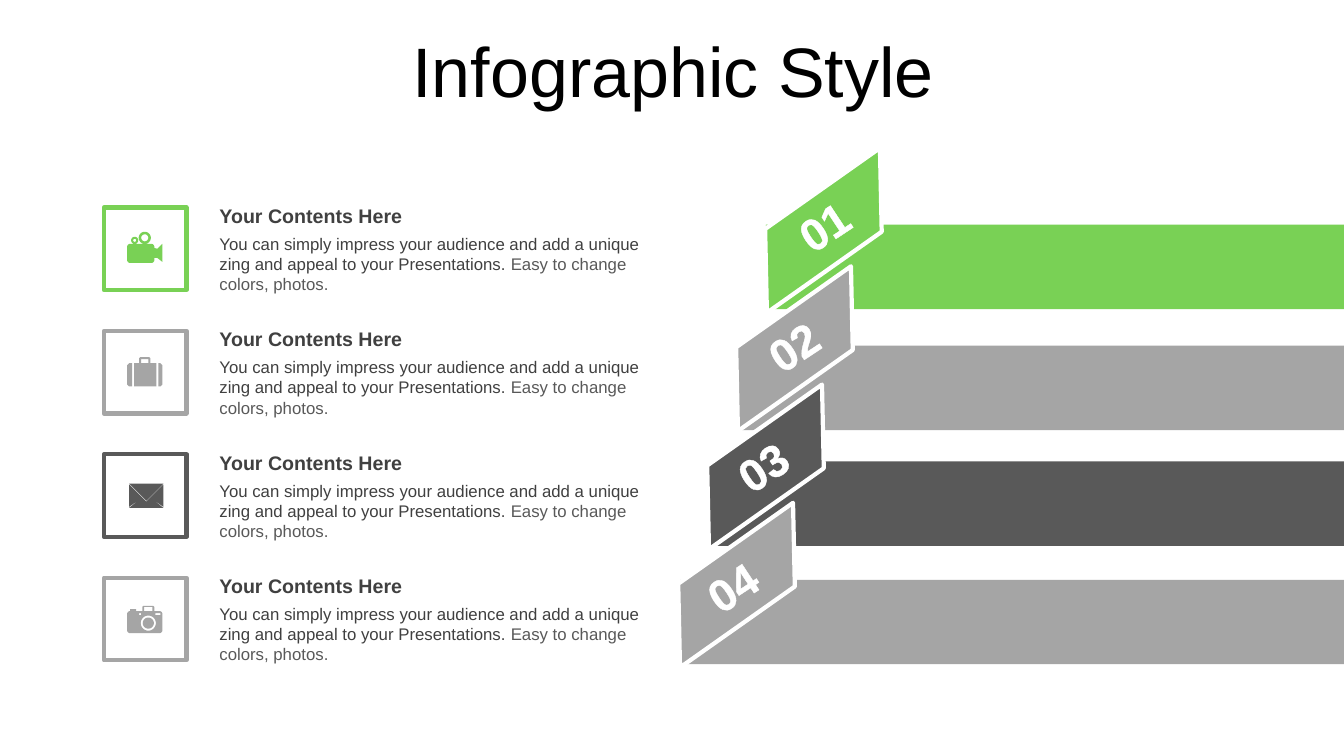
from math import cos, pi, sin

from lxml.etree import SubElement
from pptx import Presentation
from pptx.dml.color import RGBColor
from pptx.enum.shapes import MSO_SHAPE
from pptx.enum.text import MSO_ANCHOR, MSO_AUTO_SIZE, PP_ALIGN
from pptx.oxml.ns import qn
from pptx.util import Cm, Pt


# Icon outlines, in units of ICON_UNIT from the top left of the frame
def circle(x, y, radius):
    angles = [2 * pi * step / 40 for step in range(40)]
    return [(x + radius * cos(a), y + radius * sin(a)) for a in angles]


def box(left, top, right, bottom):
    return [(left, top), (right, top), (right, bottom), (left, bottom)]


def rounded_box(left, top, right, bottom, radius):
    corners = [(right - radius, bottom - radius), (left + radius, bottom - radius),
               (left + radius, top + radius), (right - radius, top + radius)]
    return [(x + radius * cos(a), y + radius * sin(a))
            for quarter, (x, y) in enumerate(corners)
            for a in [(quarter + step / 6) * pi / 2 for step in range(7)]]


def handle(left, top, right, bottom, side, bar):
    return [(left, bottom), (left, top + 1), (left + 1, top), (right - 1, top),
            (right, top + 1), (right, bottom), (right - side, bottom),
            (right - side, top + bar), (left + side, top + bar), (left + side, bottom)]


# Content
TITLE = "Infographic Style"
HEADING = "Your Contents Here"
BODY = [
    ("You can simply impress your audience and add a unique zing and appeal "
     "to your Presentations. ", "text"),
    ("Easy to change colors, photos.", "gray"),
]
COLORS = {"green": "79D155", "silver": "A5A5A5", "gray": "595959",
          "text": "404040", "white": "FFFFFF", "black": "000000"}
FONT = "Arial"

VIDEO = [circle(40.5, 30, 6), circle(40.5, 30, 3.5),
         circle(30.5, 32.5, 3.5), circle(30.5, 32.5, 1.5),
         rounded_box(23, 36, 50, 55, 3),
         [(50, 40), (53, 41), (58, 36), (58, 54), (53, 50), (50, 50)]]
SUITCASE = [[(28, 32), (25, 32), (23, 34), (23, 53), (25, 55), (28, 55)],
            box(30, 32, 52, 55), handle(35, 26, 46, 32, 2, 2),
            [(54, 32), (56, 32), (58, 34), (58, 53), (56, 55), (54, 55)]]
ENVELOPE = [[(46, 43), (59, 53), (25, 53), (38, 43), (42, 47)],
            [(59, 30), (59, 52), (46, 43)],
            [(25, 30), (38, 43), (25, 52)],
            [(25, 29), (59, 29), (42, 46)]]
CAMERA = [rounded_box(23, 33, 58, 55, 3), circle(44, 45, 7.5), circle(44, 45, 5.5),
          box(35, 35, 37, 37), box(51, 35, 56, 37), box(26, 31, 32, 33),
          handle(38, 28, 50, 33, 2, 1)]

# number, colour, icon, left and top of the bar in cm
ITEMS = [
    ("01", "green", VIDEO, 19.3, 5.66),
    ("02", "silver", SUITCASE, 18.59, 8.71),
    ("03", "gray", ENVELOPE, 17.92, 11.63),
    ("04", "silver", CAMERA, 17.15, 14.61),
]

# Layout in cm
SLIDE_WIDTH, SLIDE_HEIGHT = 33.87, 19.05
BAR_HEIGHT = 2.13
FRAME_LEFT, FRAME_TOP, FRAME_SIZE, ROW_STEP = 2.62, 5.23, 2.08, 3.11
ICON_UNIT = Cm(0.0254)
TEXT_LEFT, TEXT_WIDTH = 5.28, 11.38
TAG_LEFT, TAG_TOP, TAG_SHIFT, TAG_STEP = 18.39, 4.93, 0.73, 2.98
NUMBER_LEFT, NUMBER_TOP, NUMBER_SHIFT, NUMBER_STEP = 19.43, 4.88, 0.77, 3.03

presentation = Presentation()
presentation.slide_width, presentation.slide_height = Cm(SLIDE_WIDTH), Cm(SLIDE_HEIGHT)
slide = presentation.slides.add_slide(presentation.slide_layouts[6])
shapes = slide.shapes


def rgb(color):
    return RGBColor.from_string(COLORS[color])


def paint(shape, fill, line=None):
    shape.shadow.inherit = False
    shape.fill.solid()
    shape.fill.fore_color.rgb = rgb(fill)
    if line:
        shape.line.color.rgb = rgb(line)
        shape.line.width = Pt(3)
    else:
        shape.line.fill.background()


def add_preset(preset, left, top, width, height, fill, line=None):
    shape = shapes.add_shape(preset, Cm(left), Cm(top), Cm(width), Cm(height))
    paint(shape, fill, line)
    return shape


def add_text(left, top, width, height, runs, size, bold=False, align=PP_ALIGN.LEFT):
    text_box = shapes.add_textbox(Cm(left), Cm(top), Cm(width), Cm(height))
    frame = text_box.text_frame
    frame.word_wrap = True
    frame.auto_size = MSO_AUTO_SIZE.SHAPE_TO_FIT_TEXT
    paragraph = frame.paragraphs[0]
    paragraph.alignment = align
    for text, color in runs:
        run = paragraph.add_run()
        run.text = text
        run.font.name, run.font.size, run.font.bold = FONT, Pt(size), bold
        run.font.color.rgb = rgb(color)
    return text_box


def outline_text(run, color):
    line = SubElement(run.font._element, qn("a:ln"), w=str(Pt(1)))
    fill = SubElement(line, qn("a:solidFill"))
    SubElement(fill, qn("a:srgbClr"), val=COLORS[color])
    run.font._element.insert(0, line)


def add_icon(contours, left, top, color):
    placed = [[(Cm(left) + x * ICON_UNIT, Cm(top) + y * ICON_UNIT) for x, y in contour]
              for contour in contours]
    builder = shapes.build_freeform(*placed[0][0])
    builder.add_line_segments(placed[0][1:])
    for contour in placed[1:]:
        builder.move_to(*contour[0])
        builder.add_line_segments(contour[1:])
    paint(builder.convert_to_shape(), color)


# Title
title = add_text(0.89, 0.94, 32.16, 2.01, [(TITLE, "black")], 50, align=PP_ALIGN.CENTER)
title_frame = title.text_frame
title_frame.auto_size = MSO_AUTO_SIZE.NONE
title_frame.vertical_anchor = MSO_ANCHOR.MIDDLE
title_frame.margin_top = Cm(0.25)
title_frame.paragraphs[0].line_spacing = 0.7
title_frame.paragraphs[0].space_before = Pt(10)

# Bars running to the right edge
for number, color, icon, left, top in ITEMS:
    add_preset(MSO_SHAPE.RECTANGLE, left, top, SLIDE_WIDTH - left, BAR_HEIGHT, color)

# Slanted tags, lowest first so that each overlaps the one below
for index in reversed(range(len(ITEMS))):
    tag = add_preset(MSO_SHAPE.PARALLELOGRAM, TAG_LEFT - index * TAG_SHIFT,
                     TAG_TOP + index * TAG_STEP, 4.72, 1.75, ITEMS[index][1], "white")
    tag.adjustments[0] = 0.674
    tag.rotation = 144.8

# Rows: framed icon, heading, body and slanted number
for index, (number, color, icon, _, _) in enumerate(ITEMS):
    top = FRAME_TOP + index * ROW_STEP
    add_preset(MSO_SHAPE.RECTANGLE, FRAME_LEFT, top, FRAME_SIZE, FRAME_SIZE, "white", color)
    add_icon(icon, FRAME_LEFT, top, color)
    add_text(TEXT_LEFT, top + 0.53, TEXT_WIDTH, 1.8, BODY, 12)
    add_text(TEXT_LEFT, top - 0.22, TEXT_WIDTH, 0.86, [(HEADING, "text")], 14, bold=True)
    label = add_text(NUMBER_LEFT - index * NUMBER_SHIFT, NUMBER_TOP + index * NUMBER_STEP,
                     2.67, 1.63, [(number, "white")], 32, bold=True, align=PP_ALIGN.CENTER)
    label.rotation = 326.5
    outline_text(label.text_frame.paragraphs[0].runs[0], "white")

presentation.save("out.pptx")
